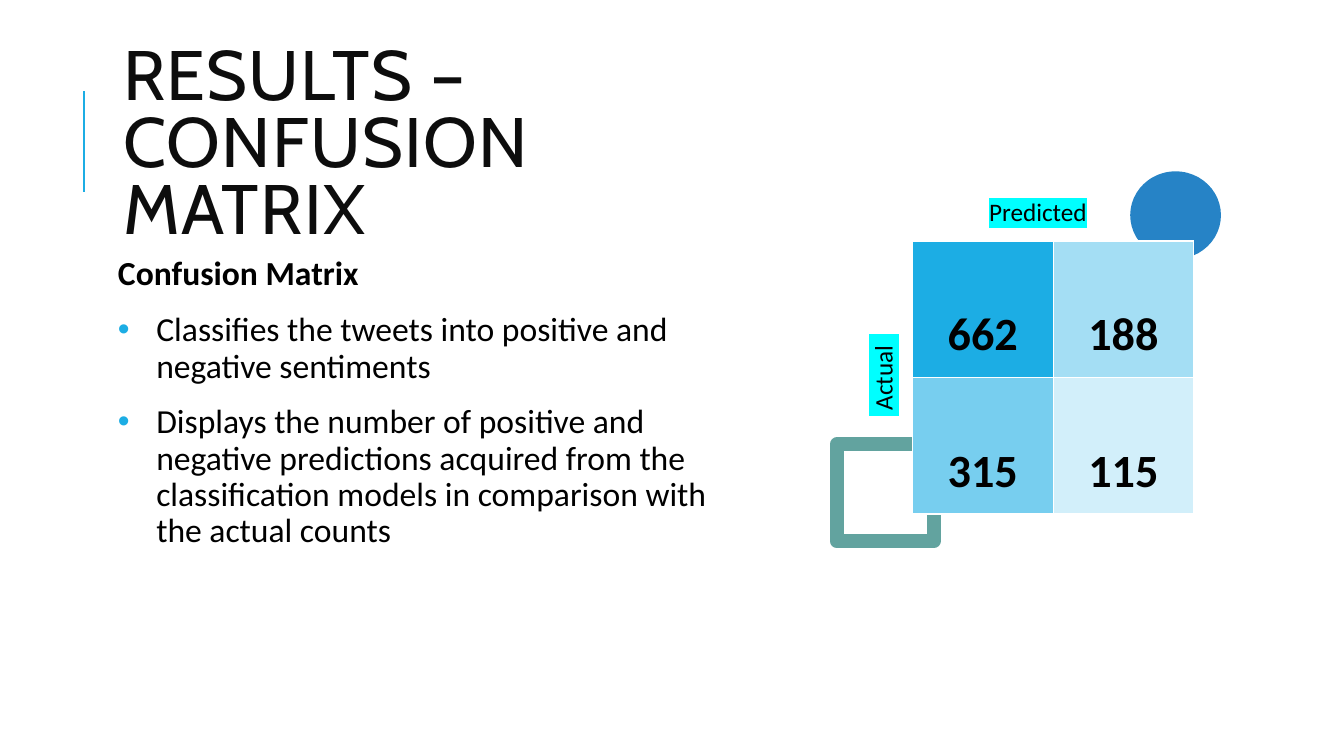
from lxml.etree import SubElement
from pptx import Presentation
from pptx.dml.color import RGBColor
from pptx.enum.shapes import MSO_CONNECTOR as Connector, MSO_SHAPE as Shape
from pptx.enum.text import MSO_ANCHOR as Anchor, MSO_AUTO_SIZE as AutoSize, PP_ALIGN as Align
from pptx.oxml import parse_xml
from pptx.oxml.ns import nsdecls, qn
from pptx.util import Inches, Pt

COLORS = {
    "accent": "1CADE4",
    "circle": "2683C6",
    "square": "62A39F",
    "title": "0D0D0D",
    "text": "000000",
    "border": "FFFFFF",
    "highlight": "00FFFF",
}
MATRIX = [
    [("662", "1CADE4"), ("188", "A4DEF4")],
    [("315", "77CEEF"), ("115", "D2EFFA")],
]
HEADING = "Confusion Matrix"
BULLETS = [
    "Classifies the tweets into positive and negative sentiments",
    "Displays the number of positive and negative predictions acquired from "
    "the classification models in comparison with the actual counts",
]


def rgb(name):
    return RGBColor.from_string(COLORS[name])


def set_font(font, size, color, bold=False, name="Calibri"):
    font.name, font.size, font.bold = name, Pt(size), bold
    font.color.rgb = rgb(color)


def add_title(page, left, top, width, height):
    rule = page.shapes.add_connector(
        Connector.STRAIGHT,
        Inches(left - 0.29), Inches(top + 1.26), Inches(left - 0.29), Inches(top + 0.26),
    )
    rule.line.color.rgb = rgb("accent")
    rule.line.width = Pt(1.5)
    SubElement(rule._element.spPr, qn("a:effectLst"))

    title = page.shapes.title
    title.left, title.top = Inches(left), Inches(top)
    title.width, title.height = Inches(width), Inches(height)
    frame = title.text_frame
    frame.text = "RESULTS – CONFUSION MATRIX"
    frame.word_wrap, frame.auto_size = True, AutoSize.NONE
    frame.vertical_anchor = Anchor.MIDDLE
    para = frame.paragraphs[0]
    para.alignment, para.line_spacing = Align.LEFT, 0.8
    span = para.runs[0]
    set_font(span.font, 50, "title", name="Cabin")
    span.font._element.set("spc", "100")


def add_bullet(para):
    props = para._p.get_or_add_pPr()
    props.set("marL", str(Inches(0.38)))
    props.set("indent", str(Inches(-0.38)))
    color = SubElement(props, qn("a:buClr"))
    SubElement(color, qn("a:srgbClr"), val=COLORS["accent"])
    SubElement(props, qn("a:buFont"), typeface="Arial")
    SubElement(props, qn("a:buChar"), char="•")


def add_body(page, left, top, width, height):
    box = page.shapes.add_textbox(Inches(left), Inches(top), Inches(width), Inches(height))
    frame = box.text_frame
    frame.word_wrap = True
    frame.margin_left = frame.margin_right = Inches(0.05)
    frame.margin_top = frame.margin_bottom = Inches(0.05)
    for index, text in enumerate([HEADING, *BULLETS]):
        para = frame.add_paragraph() if index else frame.paragraphs[0]
        para.text = text
        para.line_spacing, para.space_after = 0.9, Pt(2)
        if index:
            para.space_before = Pt(12)
            add_bullet(para)
        set_font(para.font, 24, "text", bold=index == 0)


def add_axis_label(page, text, left, top, width, indent=0.1, rotation=0):
    box = page.shapes.add_textbox(Inches(left), Inches(top), Inches(width), Inches(0.4))
    box.rotation = rotation
    frame = box.text_frame
    frame.word_wrap = True
    frame.margin_left = Inches(indent)
    para = frame.paragraphs[0]
    para.space_after = Pt(6)
    span = para.add_run()
    span.text = text
    set_font(span.font, 18, "text")
    fill = span.font._element.find(qn("a:solidFill"))
    fill.addnext(parse_xml(
        f'<a:highlight {nsdecls("a")}><a:srgbClr val="{COLORS["highlight"]}"/></a:highlight>'
    ))


def add_decoration(page, kind, left, top, width, height):
    shape = page.shapes.add_shape(kind, Inches(left), Inches(top), Inches(width), Inches(height))
    shape.shadow.inherit = False
    return shape


def style_cell(cell, value, fill):
    props = cell._tc.get_or_add_tcPr()
    for side in ("lnL", "lnR", "lnT", "lnB"):
        line = SubElement(props, qn(f"a:{side}"), w=str(Pt(1)))
        SubElement(SubElement(line, qn("a:solidFill")), qn("a:srgbClr"), val=COLORS["border"])
    cell.fill.solid()
    cell.fill.fore_color.rgb = RGBColor.from_string(fill)
    cell.margin_left = cell.margin_right = Inches(0.18)
    cell.margin_top, cell.margin_bottom = Inches(0.65), Inches(0.09)
    cell.text = value
    para = cell.text_frame.paragraphs[0]
    para.alignment = Align.CENTER
    set_font(para.font, 33, "text", bold=True)


def add_matrix(page, left, top, width, height):
    circle = add_decoration(page, Shape.OVAL, left + 2.16, top - 0.69, 0.9, 0.87)
    circle.fill.solid()
    circle.fill.fore_color.rgb = rgb("circle")
    circle.line.fill.background()
    square = add_decoration(page, Shape.RECTANGLE, left - 0.75, top + 2.02, 0.96, 0.96)
    square.fill.background()
    square.line.color.rgb = rgb("square")
    square.line.width = Pt(10)

    add_axis_label(page, " Actual  ", left - 1.16, top + 0.77, 1.73, rotation=270)
    add_axis_label(page, "Predicted", left + 0.49, top - 0.49, 2.3, indent=0.27)

    table = page.shapes.add_table(
        2, 2, Inches(left), Inches(top), Inches(width), Inches(height)
    ).table
    for row, values in enumerate(MATRIX):
        for column, (value, fill) in enumerate(values):
            style_cell(table.cell(row, column), value, fill)


def main():
    deck = Presentation()
    deck.slide_width, deck.slide_height = Inches(13.33), Inches(7.5)
    page = deck.slides.add_slide(deck.slide_layouts[5])
    add_title(page, 1.12, 0.64, 6.45, 1.64)
    add_body(page, 1.12, 2.5, 6.45, 4.3)
    add_matrix(page, 9.05, 2.39, 2.79, 2.71)
    deck.save("out.pptx")


if __name__ == "__main__":
    main()
